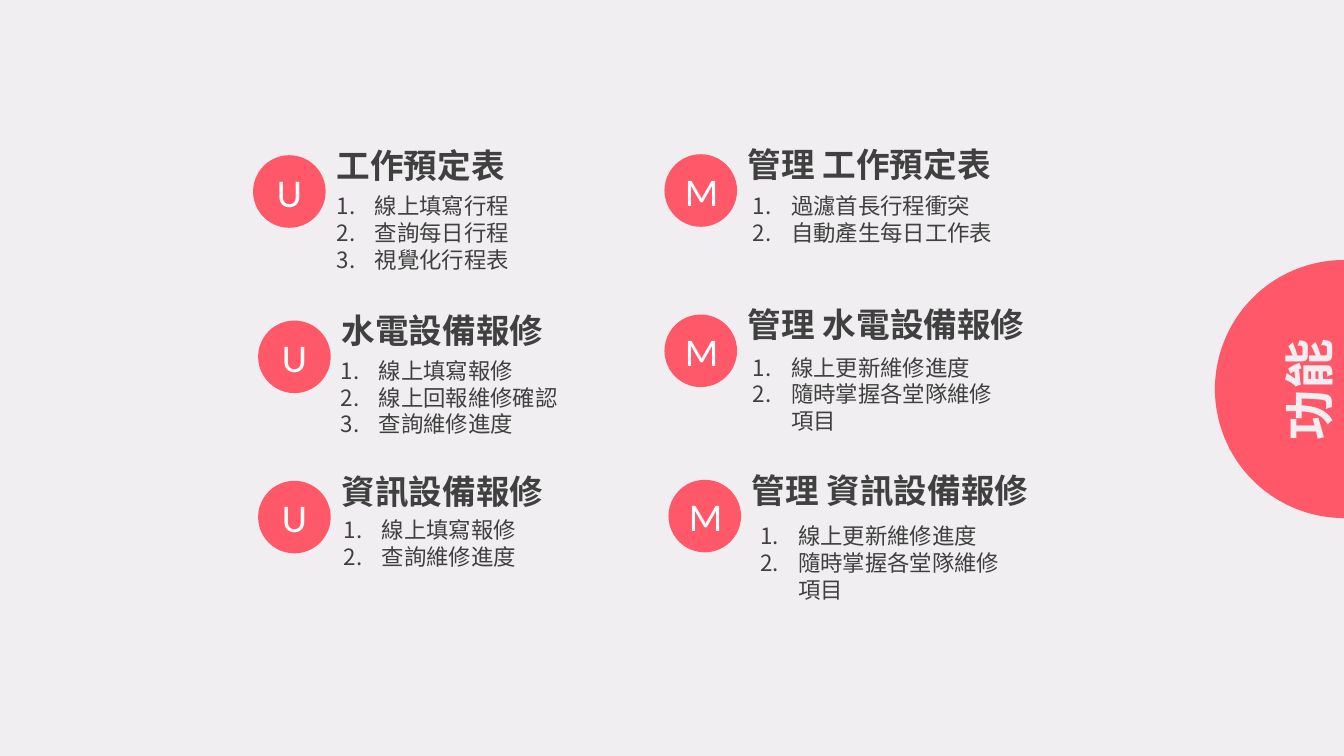
import math
from pptx import Presentation, util as u
from pptx.dml.color import RGBColor
from pptx.enum import shapes, text
from pptx.oxml.ns import qn

CORAL = RGBColor(0xFF, 0x59, 0x69)
PALE = RGBColor(0xF0, 0xEE, 0xF0)
GREY = RGBColor(0x40, 0x40, 0x40)
WHITE = RGBColor(0xFF, 0xFF, 0xFF)
SANS, CJK = "Calibri", "Noto Sans CJK SC"
TITLE = "功能"
UPDATES = ["線上更新維修進度", "隨時掌握各堂隊維修項目"]

# badge letter, badge corner, heading, heading width, list offset from badge, items
FEATURES = [
    ("U", (2.51, 1.54), "工作預定表", 2.92, (0.73, 0.32),
     ["線上填寫行程", "查詢每日行程", "視覺化行程表"]),
    ("U", (2.56, 3.18), "水電設備報修", 3.26, (0.72, 0.31),
     ["線上填寫報修", "線上回報維修確認", "查詢維修進度"]),
    ("U", (2.56, 4.77), "資訊設備報修", 3.26, (0.75, 0.30),
     ["線上填寫報修", "查詢維修進度"]),
    ("M", (6.59, 1.53), "管理 工作預定表", 2.76, (0.78, 0.33),
     ["過濾首長行程衝突", "自動產生每日工作表"]),
    ("M", (6.59, 3.12), "管理 水電設備報修", 3.08, (0.78, 0.34), UPDATES),
    ("M", (6.63, 4.76), "管理 資訊設備報修", 3.40, (0.81, 0.37), UPDATES),
]
BADGE, LIST_W, LINE_H, INDENT = 0.72, 2.76, 0.27, 0.38
HEAD_DX, HEAD_DY, HEAD_H = 0.73, -0.15, 0.5
LINE_CHARS = 9
SLIDE_W, SLIDE_H = 13.33, 7.5
RADIUS, MID_Y = 1.28, 3.86


def box(x, y, w, h):
    """Turn inches into a shape's position and size."""
    return [u.Inches(v) for v in (x, y, w, h)]


def paint(sp, color):
    """Give a shape a flat fill with no line or shadow."""
    sp.fill.solid()
    sp.fill.fore_color.rgb = color
    sp.line.fill.background()
    sp.shadow.inherit = False


def style(p, size, color, name, bold=False):
    """Set the font of a whole paragraph."""
    f = p.font
    f.size, f.name, f.bold = u.Pt(size), name, bold
    f.color.rgb = color


def add_text(s, place, lines, size, bold=False, numbered=False):
    """Add a text box with one paragraph per line."""
    tf = s.shapes.add_textbox(*box(*place)).text_frame
    tf.word_wrap = True
    tf.auto_size = text.MSO_AUTO_SIZE.SHAPE_TO_FIT_TEXT
    tf.text = "\n".join(lines)
    for p in tf.paragraphs:
        style(p, size, GREY, CJK, bold)
        if numbered:
            pPr = p._p.get_or_add_pPr()
            pPr.set("marL", str(u.Inches(INDENT)))
            pPr.set("indent", str(-u.Inches(INDENT)))
            bullet = pPr.makeelement(qn("a:buAutoNum"), {"type": "arabicPeriod"})
            pPr.insert(0, bullet)


def add_feature(s, letter, corner, heading, head_w, offset, items):
    """Add a badge with its heading and numbered list."""
    x, y = corner
    sp = s.shapes.add_shape(shapes.MSO_SHAPE.OVAL, *box(x, y, BADGE, BADGE))
    paint(sp, CORAL)
    tf = sp.text_frame
    tf.text = letter
    tf.vertical_anchor = text.MSO_ANCHOR.MIDDLE
    p = tf.paragraphs[0]
    p.alignment = text.PP_ALIGN.CENTER
    style(p, 28, WHITE, SANS)
    add_text(s, (x + HEAD_DX, y + HEAD_DY, head_w, HEAD_H), [heading], 24, bold=True)
    rows = sum(math.ceil(len(item) / LINE_CHARS) for item in items)
    add_text(s, (x + offset[0], y + offset[1], LIST_W, 0.1 + LINE_H * rows),
             items, 16, numbered=True)


def add_half_disc(s):
    """Add the half disc on the right edge, behind the title."""
    arc = [(u.Inches(SLIDE_W + RADIUS * math.cos(a)),
            u.Inches(MID_Y + RADIUS * math.sin(a)))
           for a in (math.radians(d) for d in range(90, 271, 2))]
    fb = s.shapes.build_freeform(*arc[0], scale=1.0)
    fb.add_line_segments(arc[1:], close=True)
    sp = fb.convert_to_shape()
    paint(sp, CORAL)
    s.shapes.title._element.addprevious(sp._element)


def set_title(s):
    """Turn the title to read upwards over the half disc."""
    sp = s.shapes.title
    sp.left, sp.top, sp.width, sp.height = box(11.89, 3.51, 2.18, 0.71)
    sp.rotation = 270
    sp.text_frame.text = TITLE
    p = sp.text_frame.paragraphs[0]
    p.alignment = text.PP_ALIGN.CENTER
    style(p, 36, PALE, SANS, True)


prs = Presentation()
prs.slide_width, prs.slide_height = u.Inches(SLIDE_W), u.Inches(SLIDE_H)
s = prs.slides.add_slide(prs.slide_layouts[5])
s.background.fill.solid()
s.background.fill.fore_color.rgb = PALE
set_title(s)
add_half_disc(s)
for feature in FEATURES:
    add_feature(s, *feature)
prs.save("out.pptx")
